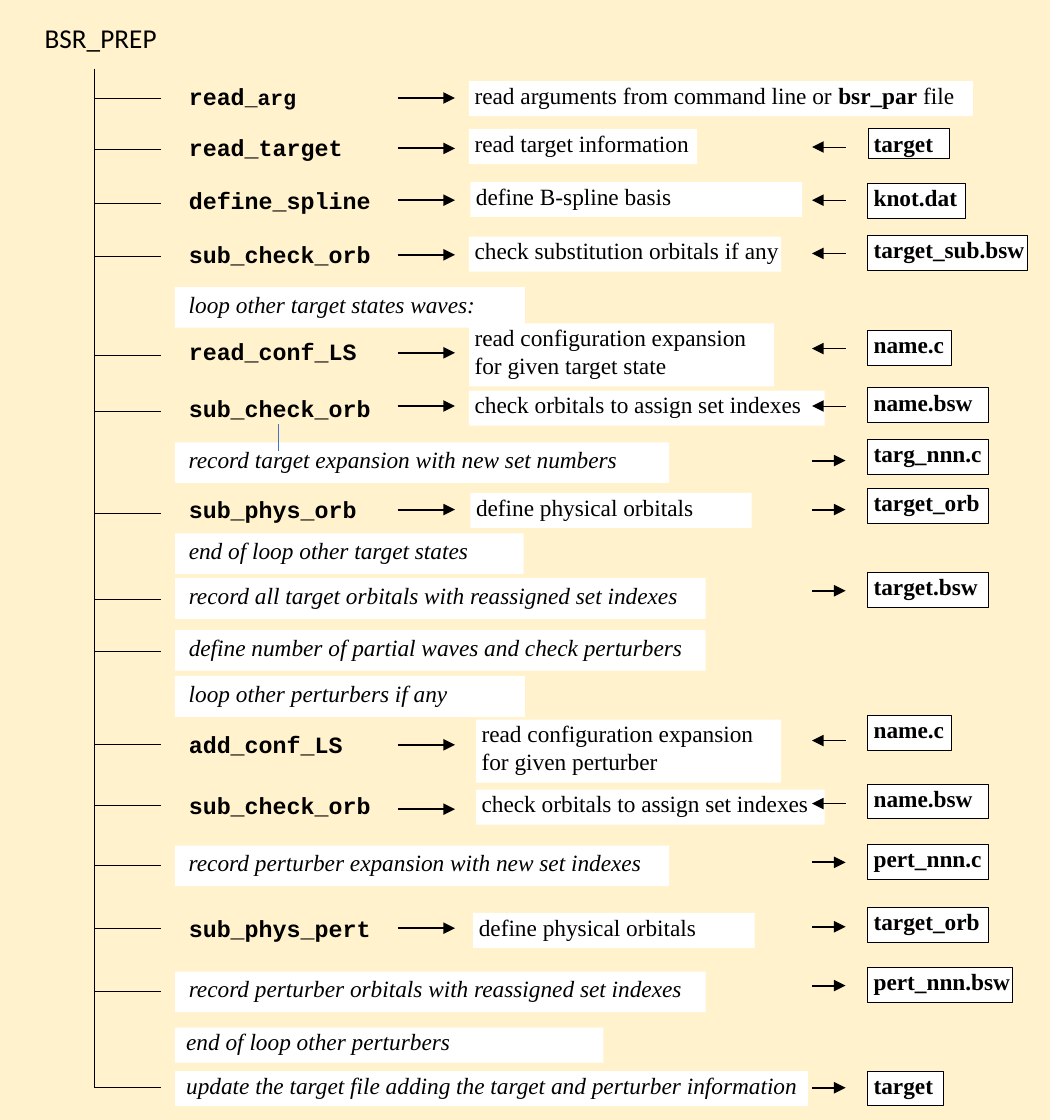
"""Draws the BSR_PREP call sequence on a grid of 75 columns and 80 rows."""
from lxml.etree import SubElement
from pptx import Presentation
from pptx.dml.color import RGBColor
from pptx.enum.shapes import MSO_CONNECTOR, MSO_SHAPE
from pptx.enum.text import MSO_ANCHOR, PP_ALIGN
from pptx.oxml.ns import qn
from pptx.util import Inches, Pt

CREAM = RGBColor(0xFF, 0xF2, 0xCC)
WHITE = RGBColor(0xFF, 0xFF, 0xFF)
BLACK = RGBColor(0, 0, 0)
BLUE = RGBColor(0x44, 0x72, 0xC4)
COLUMNS, ROWS = 75, 80
TRUNK, TICK_END, TEXT_LEFT = 6.75, 11.5, 12.5
CALL_START, CALL_END = 28.4, 32.5
FLOW_LEFT, FLOW_RIGHT, FILE_LEFT = 58, 60.4, 62


def write_text(frame, text, marked=None, **style):
    """Writes lines of text; parts between asterisks take the marked format."""
    for index, line in enumerate(text.split("\n")):
        paragraph = frame.paragraphs[0] if index == 0 else frame.add_paragraph()
        paragraph.alignment = PP_ALIGN.LEFT
        for part, words in enumerate(line.split("*")):
            if not words:
                continue
            run = paragraph.add_run()
            run.text = words
            chosen = {**style, **(marked or {})} if part % 2 else style
            run.font.name = chosen.get("font", "Times New Roman")
            run.font.size = Pt(chosen.get("size", 12))
            run.font.bold = chosen.get("bold", False)
            run.font.italic = chosen.get("italic", False)
            run.font.color.rgb = BLACK


class Diagram:
    """Holds the slide, its grid and the style of each kind of element."""

    def __init__(self, presentation):
        self.slide = presentation.slides.add_slide(presentation.slide_layouts[6])
        self.column = presentation.slide_width / COLUMNS
        self.row = presentation.slide_height / ROWS
        self.slide.background.fill.solid()
        self.slide.background.fill.fore_color.rgb = CREAM

    def place(self, left, top, width, height):
        return (round(left * self.column), round(top * self.row),
                round(width * self.column), round(height * self.row))

    def label(self, text, left, top, width, height, wrap=True, **style):
        frame = self.slide.shapes.add_textbox(
            *self.place(left, top, width, height)).text_frame
        frame.word_wrap = wrap
        write_text(frame, text, **style)

    def box(self, text, left, top, width, height=2.5, outlined=False,
            indent=0.04, drop=0, **style):
        shape = self.slide.shapes.add_shape(
            MSO_SHAPE.RECTANGLE, *self.place(left, top, width, height))
        shape.shadow.inherit = False
        shape.fill.solid()
        shape.fill.fore_color.rgb = WHITE
        if outlined:
            shape.line.color.rgb = BLACK
            shape.line.width = Pt(0.5)
        else:
            shape.line.fill.background()
        frame = shape.text_frame
        frame.word_wrap = True
        frame.vertical_anchor = MSO_ANCHOR.TOP
        frame.margin_left, frame.margin_top = Inches(indent), Inches(drop)
        frame.margin_right, frame.margin_bottom = 0, Inches(0.05)
        write_text(frame, text, **style)

    def line(self, start, end, width=0.5, color=BLACK, arrow=False):
        connector = self.slide.shapes.add_connector(
            MSO_CONNECTOR.STRAIGHT, *self.place(*start, *end))
        connector.line.color.rgb = color
        connector.line.width = Pt(width)
        properties = connector._element.spPr
        if arrow:
            SubElement(properties.find(qn("a:ln")), qn("a:tailEnd"), type="triangle")
        SubElement(properties, qn("a:effectLst"))

    def command(self, name, top, marked=None):
        width = len(name.replace("*", "")) + 2.2
        self.label(name, TEXT_LEFT, top, width, 3, font="Courier New",
                   bold=True, marked=marked)

    def call(self, row):
        self.line((CALL_START, row), (CALL_END, row), 1, arrow=True)

    def file(self, name, top, width, row, incoming, height=2.5):
        self.box(name, FILE_LEFT, top, width, height, outlined=True, bold=True)
        if incoming:
            self.line((FLOW_RIGHT, row), (FLOW_LEFT, row), arrow=True)
        else:
            self.line((FLOW_LEFT, row), (FLOW_RIGHT, row), 1, arrow=True)


TICKS = (7, 10.7, 14.5, 18.3, 25.4, 29.4, 36.7, 42.8, 46.5, 53.2, 57.5,
         61.8, 66.3, 70.8, 77.7)

LOOP_NOTES = (
    ("loop other target states waves:", 20.5, 25),
    ("record target expansion with new set numbers", 31.6, 35.3),
    ("end of loop other target states", 38.1, 24.9),
    ("record all target orbitals with reassigned set indexes", 41.3, 37.9),
    ("define number of partial waves and check perturbers", 45, 37.9),
    ("loop other perturbers if any", 48.3, 25),
    ("record perturber expansion with new set indexes", 60.4, 35.3),
    ("record perturber orbitals with reassigned set indexes", 69.4, 37.9),
)
CLOSING_NOTES = (
    ("end of loop other perturbers", 73.4, 30.6),
    ("update the target file adding the target and perturber information", 76.5, 45.2),
)

COMMANDS = (
    ("read*_arg*", 5.4, 7),
    ("read_target", 9, 10.6),
    ("define_spline", 12.8, 14.3),
    ("sub_check_orb", 16.7, 18.2),
    ("read_conf_LS", 23.6, 25.2),
    ("sub_check_orb", 27.7, 29),
    ("sub_phys_orb", 34.9, 36.4),
    ("add_conf_LS", 51.7, 53.2),
    ("sub_check_orb", 56, 57.8),
    ("sub_phys_pert", 64.8, 66.3),
)

DESCRIPTIONS = (
    ("read arguments from command line or *bsr_par* file", 33.5, 5.8, 36, 2.5),
    ("read target information", 33.5, 9.2, 16.3, 2.5),
    ("define B-spline basis", 33.6, 13, 23.7, 2.5),
    ("check substitution orbitals if any", 33.5, 16.9, 22.3, 2.5),
    ("read configuration expansion\nfor given target state", 33.5, 23.1, 21.8, 4.5),
    ("check orbitals to assign set indexes", 33.5, 27.9, 25.4, 2.5),
    ("define physical orbitals", 33.6, 35.2, 20.1, 2.5),
    ("read configuration expansion\nfor given perturber", 34, 51.4, 21.8, 4.5),
    ("check orbitals to assign set indexes", 34, 56.4, 24.9, 2.5),
    ("define physical orbitals", 33.8, 65.2, 20.1, 2.5),
)

FILES = (
    ("target", 9.2, 5.8, 10.5, True, 2.1),
    ("knot.dat", 13.1, 7, 14.3, True),
    ("target_sub.bsw", 16.8, 11.4, 18.1, True),
    ("name.c", 23.6, 6, 24.9, True),
    ("name.bsw", 27.7, 8.6, 29, True),
    ("targ_nnn.c", 31.4, 8.6, 32.9, False),
    ("target_orb", 34.9, 8.6, 36.4, False),
    ("target.bsw", 40.9, 8.6, 42.2, False),
    ("name.c", 51.1, 6, 52.9, True),
    ("name.bsw", 56, 8.6, 57.4, True),
    ("pert_nnn.c", 60.3, 8.6, 61.6, False),
    ("target_orb", 64.8, 8.6, 66.2, False),
    ("pert_nnn.bsw", 69.1, 10.3, 70.4, False),
    ("target", 76.5, 5.4, 77.7, False),
)

presentation = Presentation()
presentation.slide_width, presentation.slide_height = Inches(7.5), Inches(8)
diagram = Diagram(presentation)
diagram.place = lambda left, top, width, height: (
    round(left * diagram.column), round(top * diagram.row),
    round(width * diagram.column), round(height * diagram.row))

diagram.label("BSR_PREP", 2.2, 1, 12.5, 3.4, wrap=False, font="Calibri", size=14)
diagram.line((TRUNK, 4.9), (TRUNK, 77.7))
for tick in TICKS:
    diagram.line((TRUNK, tick), (TICK_END, tick))
for note, top, width in LOOP_NOTES:
    diagram.box(note, TEXT_LEFT, top, width, 2.9, indent=0.1, drop=0.02, italic=True)
for note, top, width in CLOSING_NOTES:
    diagram.box(note, TEXT_LEFT, top, width, indent=0.08, italic=True)
for name, top, arrow_row in COMMANDS:
    diagram.command(name, top, marked={"size": 11})
    diagram.call(arrow_row)
for description in DESCRIPTIONS:
    diagram.box(*description, marked={"bold": True})
for file in FILES:
    diagram.file(*file)
diagram.line((19.9, 30.3), (19.9, 32.2), color=BLUE)
presentation.save("out.pptx")
